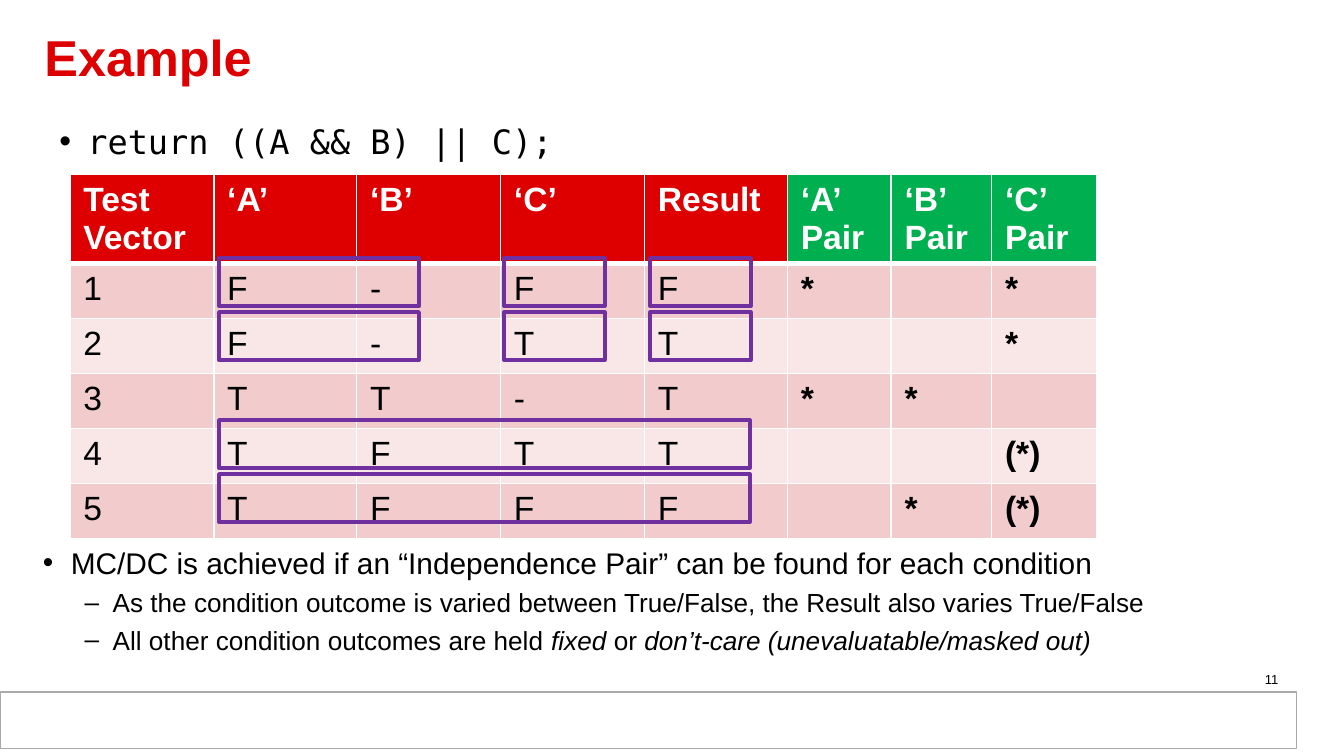
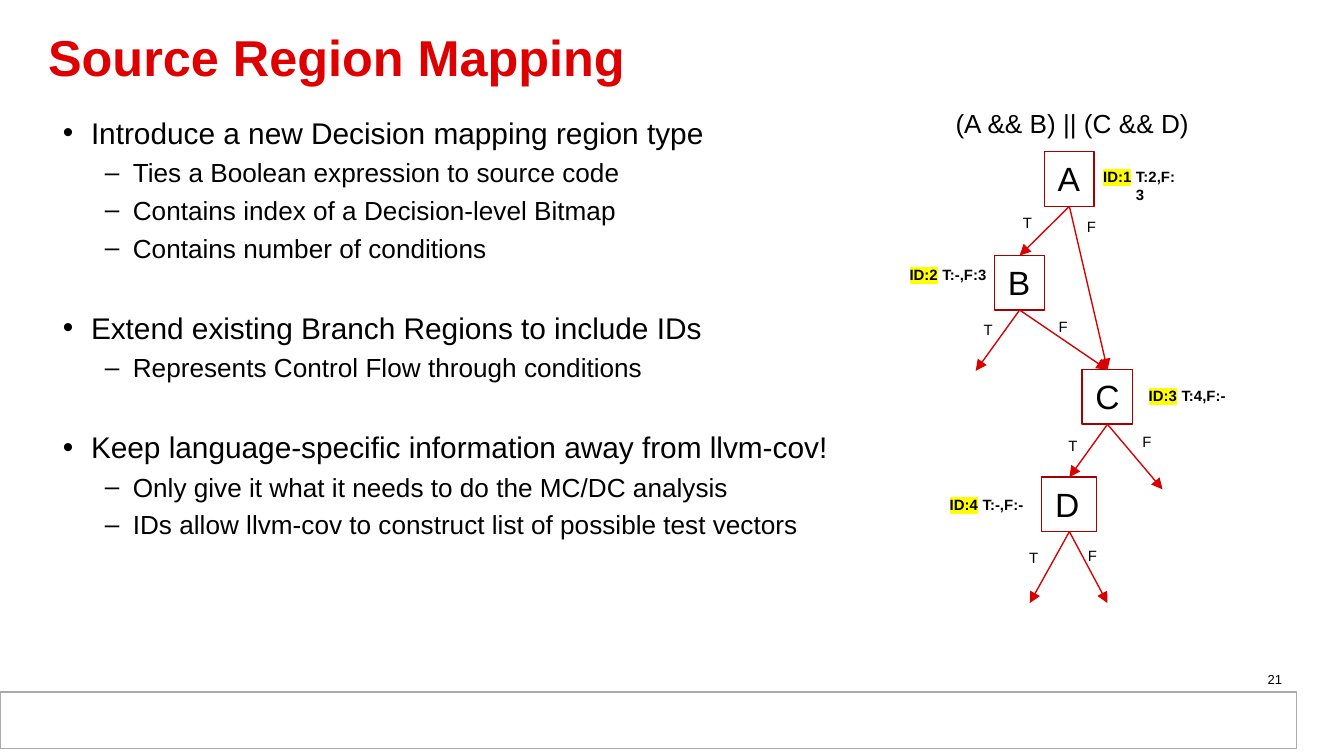
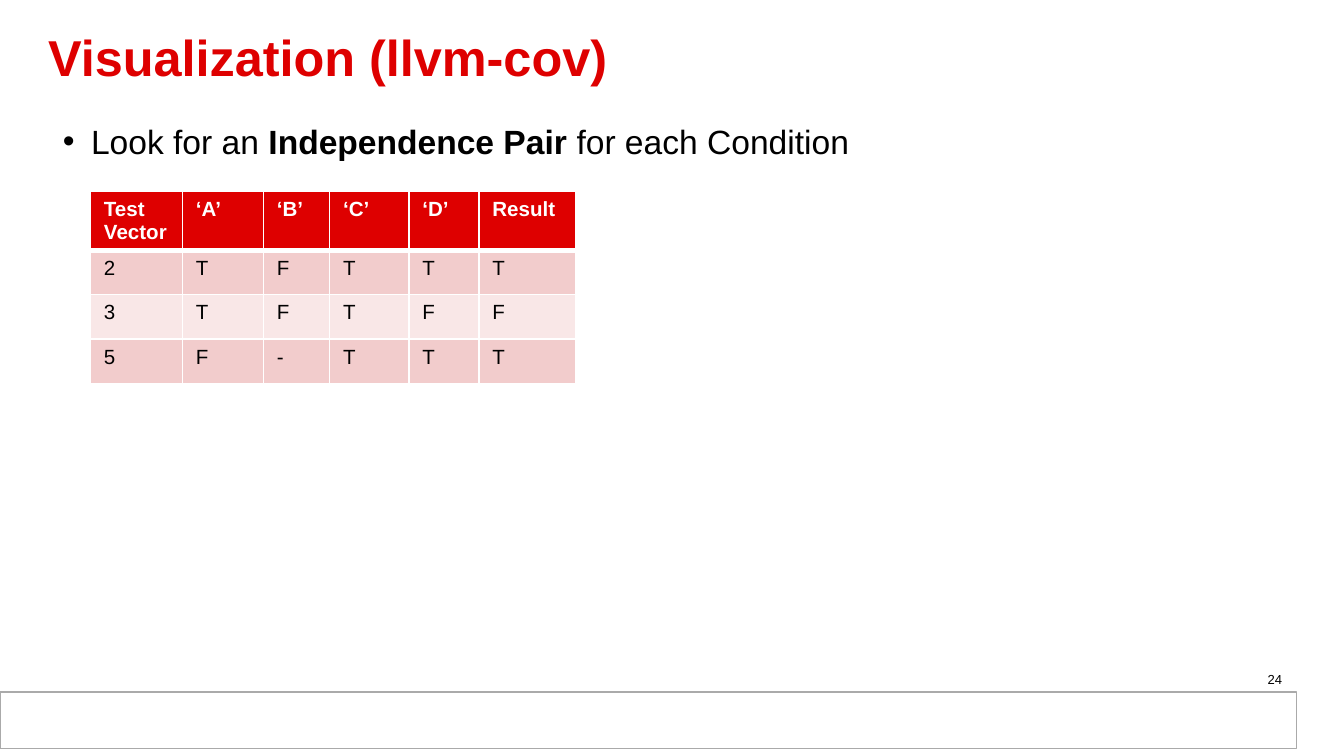
from dataclasses import dataclass

from pptx import Presentation
from pptx.dml.color import RGBColor
from pptx.enum.shapes import MSO_CONNECTOR, MSO_SHAPE
from pptx.enum.text import MSO_ANCHOR, MSO_AUTO_SIZE, PP_ALIGN
from pptx.oxml.ns import qn
from pptx.oxml.xmlchemy import OxmlElement
from pptx.util import Cm, Pt


@dataclass(frozen=True)
class Theme:
    """Colours, fonts and type sizes of the deck."""

    red: str = "DE0000"
    green: str = "00B050"
    purple: str = "7030A0"
    arrow: str = "D90000"
    node: str = "A40000"
    yellow: str = "FFFF00"
    grey: str = "AAAAAA"
    white: str = "FFFFFF"
    black: str = "000000"
    stripes: tuple = ("F2CCCC", "F9E7E7")
    sans: str = "Arial"
    mono: str = "DejaVu Sans Mono"
    title: float = 27
    lead: float = 18
    bullet: float = 16
    detail: float = 14
    small_table: float = 11
    label: float = 8
    number: float = 7


THEME = Theme()
HEADING_GAP, DETAIL_GAP, SECTION_GAP = 6.7, 3.4, 24.7


def xml_child(parent, tag, **attributes):
    """Append an XML element and return it."""
    child = OxmlElement(tag)
    for name, value in attributes.items():
        child.set(name, str(value))
    parent.append(child)
    return child


def style_span(span, size, color=THEME.black, bold=False, italic=False, font=THEME.sans):
    """Format one run."""
    span.font.size = Pt(size)
    span.font.name = font
    span.font.bold = bold
    span.font.italic = italic
    span.font.color.rgb = RGBColor.from_string(color)


def style_frame(frame, size, **style):
    """Format every run of a text frame."""
    for para in frame.paragraphs:
        for span in para.runs:
            style_span(span, size, **style)


def place(shape, left, top, width, height):
    """Move and size a shape, in centimetres."""
    shape.left, shape.top = Cm(left), Cm(top)
    shape.width, shape.height = Cm(width), Cm(height)


def set_insets(frame):
    """Give a frame the narrow margins of the main text boxes."""
    frame.word_wrap = True
    frame.auto_size = MSO_AUTO_SIZE.NONE
    frame.margin_left = frame.margin_right = Cm(0.2)
    frame.margin_top = frame.margin_bottom = Cm(0.1)


def add_rectangle(page, box, line=None, weight=0.75, fill=None):
    """Draw a flat rectangle."""
    shape = page.shapes.add_shape(MSO_SHAPE.RECTANGLE, *map(Cm, box))
    shape.shadow.inherit = False
    if fill:
        shape.fill.solid()
        shape.fill.fore_color.rgb = RGBColor.from_string(fill)
    else:
        shape.fill.background()
    if line:
        shape.line.color.rgb = RGBColor.from_string(line)
        shape.line.width = Pt(weight)
    else:
        shape.line.fill.background()
    return shape


def add_label(page, text, box, size, wrap=False, bold=False):
    """Write a short text and return its text box."""
    label = page.shapes.add_textbox(*map(Cm, box))
    frame = label.text_frame
    frame.text = text
    frame.word_wrap = wrap
    frame.auto_size = MSO_AUTO_SIZE.SHAPE_TO_FIT_TEXT
    style_frame(frame, size, bold=bold)
    return label


def fill_list(frame, items):
    """Write bulleted items given as level, space before, size and spans."""
    set_insets(frame)
    for index, (level, gap, size, spans) in enumerate(items):
        para = frame.add_paragraph() if index else frame.paragraphs[0]
        para.level = level
        para.space_before = Pt(gap)
        for text, style in spans:
            span = para.add_run()
            span.text = text
            style_span(span, size, **style)
        properties = para._p.get_or_add_pPr()
        properties.set("marL", str(Cm((0.53, 1.32)[level])))
        properties.set("indent", str(Cm(-0.53)))
        xml_child(properties, "a:buFont", typeface=THEME.sans)
        xml_child(properties, "a:buChar", char="•–"[level])


def heading(*spans, gap=HEADING_GAP, size=THEME.bullet):
    """Describe a first-level item."""
    return 0, gap, size, spans


def detail(*spans):
    """Describe a second-level item."""
    return 1, DETAIL_GAP, THEME.detail, spans


def add_footer_band(layout, page):
    """Draw the footer band once and hand it to the layout."""
    for holder in list(layout.placeholders):
        if holder.placeholder_format.idx >= 10:
            holder.element.getparent().remove(holder.element)
    backdrop = add_rectangle(page, (0.13, 13.18, 24.28, 0.97), fill=THEME.white)
    band = add_rectangle(page, (0, 13.08, 24.51, 1.07), THEME.grey, fill=THEME.white)
    for shape in (backdrop, band):
        layout.shapes.element.append(shape.element)


def start_page(page, title, number, left, body_top, body_size, items):
    """Fill the title, list and page number, aligned to a left edge."""
    holder = page.shapes.title
    place(holder, left, 0.3, 23.5, 1.7)
    frame = holder.text_frame
    frame.text = title
    set_insets(frame)
    frame.vertical_anchor = MSO_ANCHOR.MIDDLE
    frame.paragraphs[0].alignment = PP_ALIGN.LEFT
    frame.paragraphs[0].line_spacing = 0.85
    style_frame(frame, THEME.title, color=THEME.red, bold=True)

    body = page.placeholders[1]
    place(body, left + 0.28, body_top, *body_size)
    fill_list(body.text_frame, items)

    box = (left + 17.8, 12.6, 5.92, 0.43)
    label = add_label(page, str(number), box, THEME.number, wrap=True)
    set_insets(label.text_frame)
    label.text_frame.paragraphs[0].alignment = PP_ALIGN.RIGHT


def style_cell(cell, text, size, fill, color, bold, bottom):
    """Write a table cell with its fill and white borders."""
    cell.text = text
    style_frame(cell.text_frame, size, color=color, bold=bold)
    properties = cell._tc.get_or_add_tcPr()
    for side, weight in (("L", 1), ("R", 1), ("T", 1), ("B", bottom)):
        border = xml_child(properties, f"a:ln{side}", w=Pt(weight))
        xml_child(xml_child(border, "a:solidFill"), "a:srgbClr", val=THEME.white)
    cell.fill.solid()
    cell.fill.fore_color.rgb = RGBColor.from_string(fill)


def add_vector_table(page, box, widths, heights, rows, size, pair_start):
    """Draw a test vector table whose columns from pair_start on show pairs."""
    table = page.shapes.add_table(len(rows), len(widths), *map(Cm, box)).table
    for column, width in zip(table.columns, widths):
        column.width = Cm(width)
    for index, texts in enumerate(rows):
        table.rows[index].height = Cm(heights[min(index, 1)])
        for position, text in enumerate(texts):
            pair = position >= pair_start
            if index:
                look = THEME.stripes[(index - 1) % 2], THEME.black, pair, 1
            else:
                look = THEME.green if pair else THEME.red, THEME.white, True, 3
            style_cell(table.cell(index, position), text, size, *look)


def add_pair_frames(page, left, top):
    """Frame the outcomes to compare, relative to the table corner."""
    condition, third, result = (2.82, 3.78), (8.21, 1.9), (10.97, 1.9)
    whole = (2.82, 10.03)
    groups = {3: [whole], 4: [whole], 0: [condition, third, result], 1: [condition, third, result]}
    for row, spans in groups.items():
        for offset, width in spans:
            box = (left + offset, top + 1.58 + row * 1.02, width, 0.91)
            add_rectangle(page, box, THEME.purple, 2)


def add_arrow(page, start, end):
    """Draw an arrow between two points."""
    arrow = page.shapes.add_connector(MSO_CONNECTOR.STRAIGHT, *map(Cm, (*start, *end)))
    arrow.line.color.rgb = RGBColor.from_string(THEME.arrow)
    arrow.line.width = Pt(0.75)
    properties = arrow.element.spPr
    xml_child(properties.find(qn("a:ln")), "a:tailEnd", type="triangle")
    xml_child(properties, "a:effectLst")


def highlight(span):
    """Mark a run in yellow."""
    mark = OxmlElement("a:highlight")
    xml_child(mark, "a:srgbClr", val=THEME.yellow)
    span._r.get_or_add_rPr().find(qn("a:solidFill")).addnext(mark)


def add_decision_graph(page, left, top):
    """Draw the control flow through the four conditions."""
    node_height = 1.03
    nodes = {
        "A": (3.24, 0.97, 0.94),
        "B": (2.3, 2.93, 0.94),
        "C": (3.95, 5.09, 0.96),
        "D": (3.19, 7.12, 1.04),
    }
    edges = [
        ("A", "B"), ("A", "C"), ("B", "C"), ("B", (1.94, 5.11)),
        ("C", "D"), ("C", (5.47, 7.35)), ("D", (2.96, 9.5)), ("D", (4.43, 9.5)),
    ]
    branches = [
        ("T", 2.58, 2.01), ("F", 3.79, 2.09), ("T", 1.84, 4.04), ("F", 3.26, 3.97),
        ("T", 3.44, 6.23), ("F", 4.84, 6.15), ("T", 2.7, 8.34), ("F", 3.81, 8.31),
    ]
    targets = [
        ("ID:1", "T:2,F:3", 4.1, 1.15), ("ID:2", "T:-,F:3", 0.44, 3),
        ("ID:3", "T:4,F:-", 4.96, 5.29), ("ID:4", "T:-,F:-", 1.2, 7.35),
    ]

    def anchor(name, drop=0):
        """Return the middle of a node's top edge, lowered by drop."""
        x, y, width = nodes[name]
        return left + x + width / 2, top + y + drop

    add_label(page, "(A && B) || (C && D)", (left + 1.31, top, 4.95, 0.86), THEME.detail)
    for name, (x, y, width) in nodes.items():
        node = add_rectangle(page, (left + x, top + y, width, node_height), THEME.node)
        frame = node.text_frame
        frame.text = name
        frame.word_wrap = False
        frame.auto_size = MSO_AUTO_SIZE.SHAPE_TO_FIT_TEXT
        frame.vertical_anchor = MSO_ANCHOR.TOP
        frame.paragraphs[0].alignment = PP_ALIGN.LEFT
        style_frame(frame, THEME.lead)
    for start, end in edges:
        tip = anchor(end) if end in nodes else (left + end[0], top + end[1])
        add_arrow(page, anchor(start, node_height), tip)
    for text, x, y in branches:
        add_label(page, text, (left + x, top + y, 0.69, 0.61), THEME.label, wrap=True)
    for identity, jumps, x, y in targets:
        box = (left + x, top + y, 1.04, 0.61)
        label = add_label(page, identity, box, THEME.label, bold=True)
        highlight(label.text_frame.paragraphs[0].runs[0])
        box = (left + x + 0.62, top + y, 1.37, 0.61)
        add_label(page, jumps, box, THEME.label, bold=True)


def build_example(page):
    """Show the test vectors and independence pairs of one expression."""
    code = heading(("return ((A && B) || C);", {"font": THEME.mono}), size=THEME.lead)
    start_page(page, "Example", 11, 0.64, 2.18, (23.52, 1.14), [code])
    rows = [
        ("Test Vector", "‘A’", "‘B’", "‘C’", "Result", "‘A’ Pair", "‘B’ Pair", "‘C’ Pair"),
        ("1", "F", "-", "F", "F", "*", "", "*"),
        ("2", "F", "-", "T", "T", "", "", "*"),
        ("3", "T", "T", "-", "T", "*", "*", ""),
        ("4", "T", "F", "T", "T", "", "", "(*)"),
        ("5", "T", "F", "F", "F", "", "*", "(*)"),
    ]
    widths = (2.72, 2.7, 2.72, 2.72, 2.7, 1.96, 1.9, 1.98)
    left, top = 1.32, 3.3
    add_vector_table(page, (left, top, 19.4, 6.68), widths, (1.04, 1.04), rows, THEME.lead, 5)
    notes = page.shapes.add_textbox(Cm(0.61), Cm(10.19), Cm(23.52), Cm(2.84))
    italic = {"italic": True}
    fill_list(notes.text_frame, [
        heading(("MC/DC is achieved if an “Independence Pair” can be found for each condition", {})),
        detail(("As the condition outcome is varied between True/False, "
                "the Result also varies True/False", {})),
        detail(("All other condition outcomes are held ", {}), ("fixed ", italic), ("or ", {}),
               ("don’t-care (unevaluatable/masked out)", italic)),
    ])
    add_pair_frames(page, left, top)


def build_mapping(page):
    """Explain region mapping beside its control flow graph."""
    sections = [
        ("Introduce a new Decision mapping region type", [
            "Ties a Boolean expression to source code",
            "Contains index of a Decision-level Bitmap",
            "Contains number of conditions",
        ]),
        ("Extend existing Branch Regions to include IDs", [
            "Represents Control Flow through conditions",
        ]),
        ("Keep language-specific information away from llvm-cov!", [
            "Only give it what it needs to do the MC/DC analysis",
            "IDs allow llvm-cov to construct list of possible test vectors",
        ]),
    ]
    items = []
    for title, points in sections:
        items.append(heading((title, {}), gap=SECTION_GAP if items else HEADING_GAP))
        items.extend(detail((point, {})) for point in points)
    start_page(page, "Source Region Mapping", 21, 0.71, 2.06, (14.96, 11.05), items)
    add_decision_graph(page, 16.5, 1.9)


def build_visualization(page):
    """Show the executed test vectors."""
    lead = heading(("Look for an ", {}), ("Independence Pair", {"bold": True}),
                   (" for each Condition", {}), size=THEME.lead)
    start_page(page, "Visualization (llvm-cov)", 24, 0.71, 2.18, (23.52, 2.72), [lead])
    rows = [
        ("Test Vector", "‘A’", "‘B’", "‘C’", "‘D’", "Result"),
        ("2", "T", "F", "T", "T", "T"),
        ("3", "T", "F", "T", "F", "F"),
        ("5", "F", "-", "T", "T", "T"),
    ]
    widths = (1.74, 1.53, 1.25, 1.5, 1.32, 1.83)
    box = (1.71, 3.61, 9.17, 3.73)
    add_vector_table(page, box, widths, (0.6, 0.84), rows, THEME.small_table, len(widths))


def main():
    """Build and save the deck."""
    deck = Presentation()
    deck.slide_width, deck.slide_height = Cm(25.4), Cm(14.29)
    layout = deck.slide_layouts[1]
    for index, build in enumerate((build_example, build_mapping, build_visualization)):
        page = deck.slides.add_slide(layout)
        if index == 0:
            add_footer_band(layout, page)
        build(page)
    deck.save("out.pptx")


if __name__ == "__main__":
    main()
